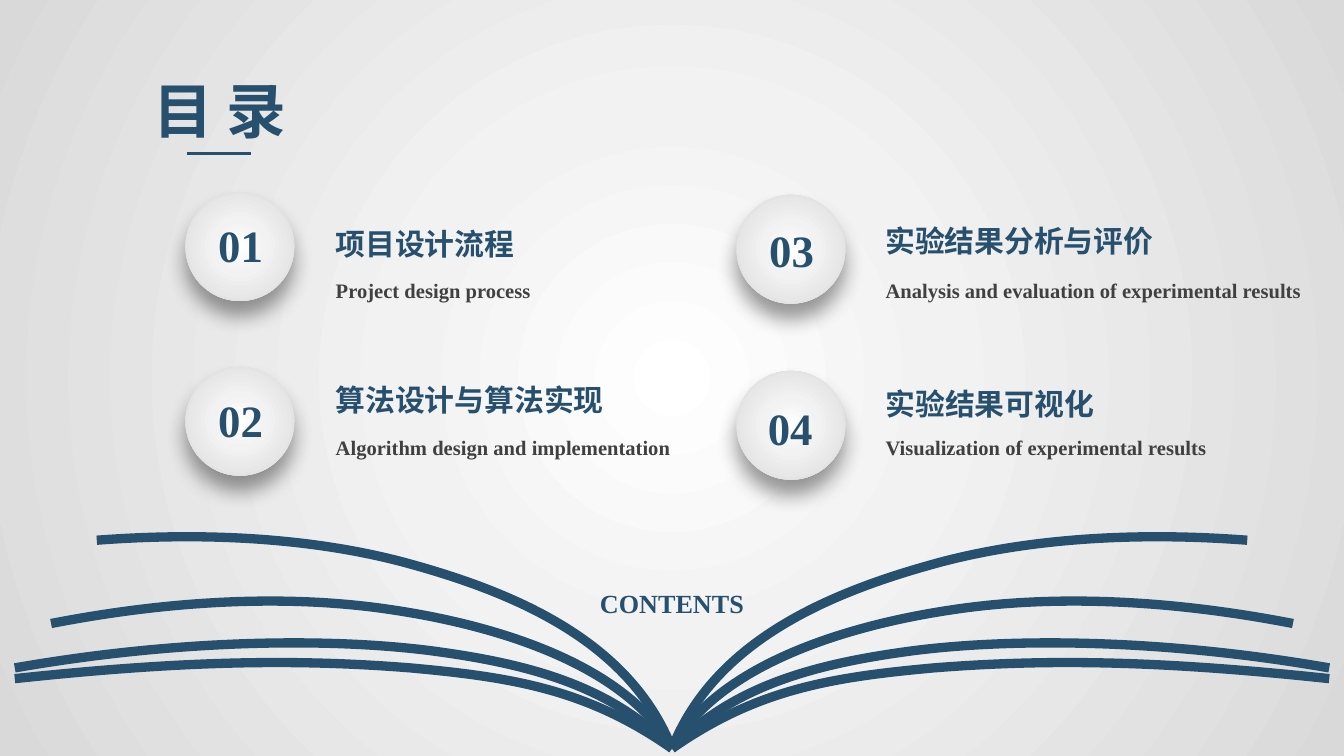
import pptx
import pptx.dml.color
import pptx.enum.shapes
import pptx.enum.text
import pptx.oxml
import pptx.oxml.ns
import pptx.util

PX = 9144  # EMU per px, 100 px to the inch
WIDTH = 1000
HEIGHT = WIDTH * PX * 9 // 16
NAVY, GRAY = "27506E", "404040"
SERIF, CJK = "Times New Roman", "Noto Sans CJK SC"
STOPS = ((0, "FFFFFF"), (35, "F2F2F2"), (100, "D9D9D9"))

# Left pages of the book: start, then two cubic curves of three points each
SPINE = (500, 557)
PAGES = [
    [SPINE, (455, 511), (396, 494), (319, 484), (247, 475), (137, 475), (11, 497)],
    [SPINE, (437, 513), (382, 504), (305, 497), (217, 490), (133, 492), (11, 505)],
    [SPINE, (467, 496), (373, 466), (293, 454), (222, 443), (136, 445), (38, 464)],
    [SPINE, (468, 476), (381, 440), (299, 418), (230, 400), (151, 396), (72, 402)],
]

# number, circle left/top, number left/top, text left,
# heading, its top/width, caption, its top/width
ITEMS = [
    ("01", 138, 143, 152, 157, 240, "项目设计流程", 163, 156,
     "Project design process", 202, 166),
    ("02", 138, 273, 152, 287, 240, "算法设计与算法实现", 279, 224,
     "Algorithm design and implementation", 319, 270),
    ("03", 548, 145, 562, 161, 649, "实验结果分析与评价", 161, 224,
     "Analysis and evaluation of experimental results", 202, 331),
    ("04", 548, 276, 561, 293, 649, "实验结果可视化", 282, 178,
     "Visualization of experimental results", 319, 261),
]


def px(*lengths):
    return [pptx.util.Emu(n * PX) for n in lengths]


def rgb(color):
    return pptx.dml.color.RGBColor.from_string(color)


def xml(tag, content="", **attrs):
    attrs = "".join(f' {k}="{v}"' for k, v in attrs.items())
    return pptx.oxml.parse_xml(
        f'<a:{tag} {pptx.oxml.ns.nsdecls("a")}{attrs}>{content}</a:{tag}>')


def find(element, tag):
    return list(element.iter(pptx.oxml.ns.qn(tag)))


def write(tf, text, size=16, font=SERIF, color=NAVY, align="LEFT", wrap=False):
    tf.word_wrap = wrap
    tf.auto_size = pptx.enum.text.MSO_AUTO_SIZE.SHAPE_TO_FIT_TEXT
    tf.vertical_anchor = pptx.enum.text.MSO_ANCHOR.TOP
    p = tf.paragraphs[0]
    p.alignment = getattr(pptx.enum.text.PP_ALIGN, align)
    r = p.add_run()
    r.text = text
    r.font.size = pptx.util.Pt(size)
    r.font.bold = True
    r.font.name = font
    r.font.color.rgb = rgb(color)
    r.font._element.append(xml("ea", typeface=font))


def radial(fill, element):
    """Fill with the three-stop gradient that spreads from the centre."""
    fill.gradient()
    grad = find(element, "a:gradFill")[0]
    for child in list(grad):
        grad.remove(child)
    stops = "".join(f'<a:gs pos="{pos * 1000}"><a:srgbClr val="{color}"/></a:gs>'
                    for pos, color in STOPS)
    grad.append(xml("gsLst", stops))
    grad.append(xml("path", '<a:fillToRect l="50000" t="50000" r="50000" b="50000"/>',
                    path="circle"))


def bend(element):
    """Turn each three line segments of a freeform into one cubic curve."""
    segments = find(element, "a:lnTo")
    for i in range(0, len(segments), 3):
        cubic = xml("cubicBezTo")
        segments[i].addprevious(cubic)
        for segment in segments[i:i + 3]:
            cubic.append(segment[0])
            segment.getparent().remove(segment)


class Deck:
    """Holds the presentation, the current slide and the shapes being added to."""

    def __init__(self):
        self.prs = pptx.Presentation()
        self.prs.slide_width = WIDTH * PX
        self.prs.slide_height = HEIGHT
        self.s = self.prs.slides.add_slide(self.prs.slide_layouts[5])
        self.shapes = self.s.shapes
        radial(self.s.background.fill, self.s.element)

    def open_group(self):
        self.shapes = self.s.shapes.add_group_shape().shapes

    def close_group(self):
        self.shapes = self.s.shapes

    def title(self, text, x, y, w, h, **style):
        sp = self.s.shapes.title
        sp.left, sp.top, sp.width, sp.height = px(x, y, w, h)
        write(sp.text_frame, text, **style)

    def text(self, text, x, y, w, h, **style):
        sp = self.shapes.add_textbox(*px(x, y, w, h))
        write(sp.text_frame, text, **style)

    def circle(self, x, y, d):
        sp = self.shapes.add_shape(pptx.enum.shapes.MSO_SHAPE.OVAL, *px(x, y, d, d))
        radial(sp.fill, sp.element)
        sp.line.fill.background()
        sp.shadow.inherit = False
        find(sp.element, "a:effectLst")[0].append(xml(
            "outerShdw", '<a:srgbClr val="000000"><a:alpha val="40000"/></a:srgbClr>',
            blurRad=pptx.util.Pt(11), dist=pptx.util.Pt(8), dir=90 * 60000,
            algn="t", rotWithShape=0))

    def curve(self, points):
        builder = self.shapes.build_freeform(*points[0], scale=PX)
        builder.add_line_segments(points[1:], close=False)
        sp = builder.convert_to_shape()
        bend(sp.element)
        sp.fill.background()
        sp.shadow.inherit = False
        self.stroke(sp.line, 5)

    def line(self, x1, y1, x2, y2):
        cxn = self.shapes.add_connector(
            pptx.enum.shapes.MSO_CONNECTOR.STRAIGHT, *px(x1, y1, x2, y2))
        self.stroke(cxn.line, 1.5)
        cxn.element.spPr.append(xml("effectLst"))

    def stroke(self, line, width):
        line.color.rgb = rgb(NAVY)
        line.width = pptx.util.Pt(width)


def main():
    deck = Deck()
    deck.open_group()
    for page in PAGES:
        deck.curve(page)
        deck.curve([(WIDTH - x, y) for x, y in page])
    deck.close_group()

    deck.title("目 录", 97, 50, 133, 64, size=32, font=CJK, align="CENTER")
    deck.line(139, 114, 187, 114)
    deck.text("CONTENTS", 371, 432, 258, 34, size=14, align="CENTER", wrap=True)

    for (number, x, y, number_x, number_y, text_x, heading, heading_y, heading_w,
         caption, caption_y, caption_w) in ITEMS:
        deck.open_group()
        deck.circle(x, y, 81)
        deck.text(number, number_x, number_y, 54, 50, size=24, align="CENTER")
        deck.close_group()
        deck.text(heading, text_x, heading_y, heading_w, 37, font=CJK)
        deck.text(caption, text_x, caption_y, caption_w, 29, size=11, color=GRAY)

    deck.prs.save("out.pptx")


if __name__ == "__main__":
    main()
